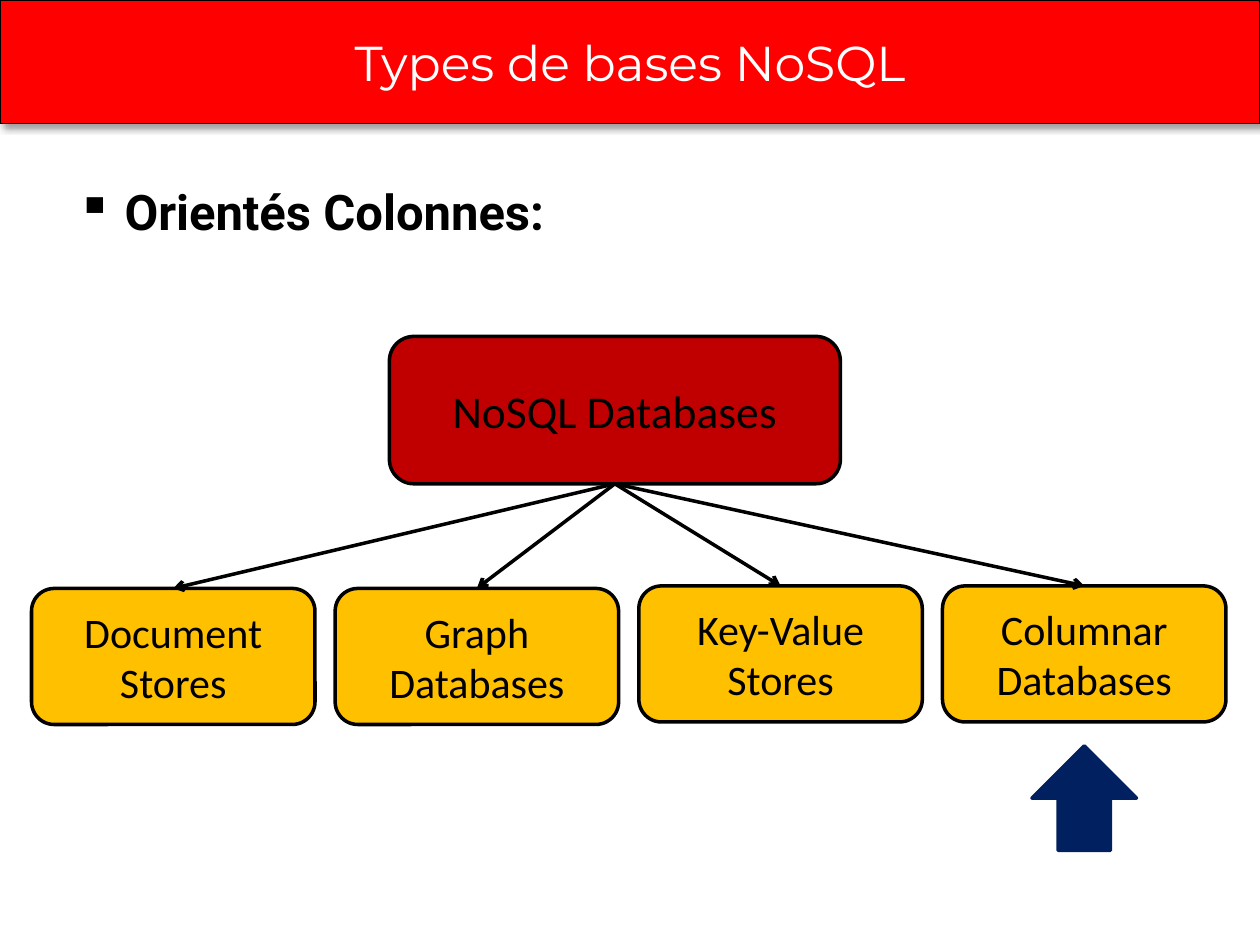
"""Build the slide on the types of NoSQL bases."""
from dataclasses import dataclass

from lxml.etree import SubElement
from pptx import Presentation
from pptx.dml.color import RGBColor
from pptx.enum.shapes import MSO_CONNECTOR, MSO_SHAPE
from pptx.enum.text import MSO_ANCHOR, PP_ALIGN
from pptx.oxml.ns import qn
from pptx.util import Inches, Pt


@dataclass(frozen=True)
class Theme:
    red: str = "FF0000"
    dark: str = "C00000"
    gold: str = "FFC000"
    navy: str = "002060"
    black: str = "000000"
    white: str = "FFFFFF"
    head: int = 28
    root: int = 26
    leaf: int = 24
    edge: float = 2
    thin: float = 0.75


THEME = Theme()


def color(code):
    return RGBColor.from_string(code)


def add_run(para, text, font, size, ink, bold=False):
    run = para.add_run()
    run.text = text
    run.font.name = font
    run.font.size = Pt(size)
    run.font.bold = bold
    run.font.color.rgb = color(ink)


def add_form(slide, kind, area, fill, edge=THEME.black, width=THEME.edge):
    form = slide.shapes.add_shape(kind, *map(Inches, area))
    form.shadow.inherit = False
    form.fill.solid()
    form.fill.fore_color.rgb = color(fill)
    form.line.color.rgb = color(edge)
    form.line.width = Pt(width)
    SubElement(form.line._get_or_add_ln(), qn("a:round"))
    return form


def add_label(form, text, font, size, ink):
    frame = form.text_frame
    frame.word_wrap = True
    frame.vertical_anchor = MSO_ANCHOR.MIDDLE
    para = frame.paragraphs[0]
    para.alignment = PP_ALIGN.CENTER
    add_run(para, text, font, size, ink)


def add_shade(form):
    effects = form._element.spPr.find(qn("a:effectLst"))
    shade = SubElement(effects, qn("a:outerShdw"), blurRad=str(Pt(4)),
                       dist=str(Pt(3)), dir="2700000", rotWithShape="0")
    tint = SubElement(shade, qn("a:srgbClr"), val=THEME.black)
    SubElement(tint, qn("a:alpha"), val="40000")


def add_title(slide, text):
    bar = add_form(slide, MSO_SHAPE.RECTANGLE, (0, 0, 10, 0.98), THEME.red,
                   width=THEME.thin)
    add_shade(bar)
    add_label(bar, text, "Montserrat", THEME.head, THEME.white)


def add_point(slide, text):
    box = slide.shapes.add_textbox(*map(Inches, (0.51, 1.39, 8.98, 5.59)))
    box.text_frame.word_wrap = True
    para = box.text_frame.paragraphs[0]
    props = para._p.get_or_add_pPr()
    props.set("marL", str(Inches(0.38)))
    props.set("indent", str(Inches(-0.38)))
    SubElement(props, qn("a:buChar"), char="▪")
    add_run(para, text, "Roboto", THEME.head, THEME.black, bold=True)


def add_node(slide, area, text, fill, size):
    node = add_form(slide, MSO_SHAPE.ROUNDED_RECTANGLE, area, fill)
    add_label(node, text, "Calibri", size, THEME.black)
    return node


def add_link(slide, start, end):
    link = slide.shapes.add_connector(MSO_CONNECTOR.STRAIGHT, 0, 0, 0, 0)
    link.begin_connect(start, 2)
    link.end_connect(end, 0)
    link.line.color.rgb = color(THEME.black)
    link.line.width = Pt(THEME.edge)
    line = link.line._get_or_add_ln()
    SubElement(line, qn("a:round"))
    SubElement(line, qn("a:tailEnd"), type="arrow")
    SubElement(link._element.spPr, qn("a:effectLst"))


def add_tree(slide):
    root = add_node(slide, (3.09, 2.67, 3.58, 1.17), "NoSQL Databases",
                    THEME.dark, THEME.root)
    kinds = (("Document Stores", 4.67), ("Graph Databases", 4.67),
             ("Key-Value Stores", 4.65), ("Columnar Databases", 4.65))
    leaves = [add_node(slide, (0.25 + 2.41 * spot, top, 2.25, 1.08), text,
                       THEME.gold, THEME.leaf)
              for spot, (text, top) in enumerate(kinds)]
    for leaf in leaves:
        add_link(slide, root, leaf)


def main():
    deck = Presentation()
    deck.slide_width, deck.slide_height = Inches(10), Inches(7.5)
    slide = deck.slides.add_slide(deck.slide_layouts[6])
    add_title(slide, "Types de bases NoSQL")
    add_point(slide, "Orientés Colonnes:")
    add_tree(slide)
    add_form(slide, MSO_SHAPE.UP_ARROW, (8.19, 5.92, 0.83, 0.83),
             THEME.navy, THEME.navy)
    deck.save("out.pptx")


if __name__ == "__main__":
    main()
